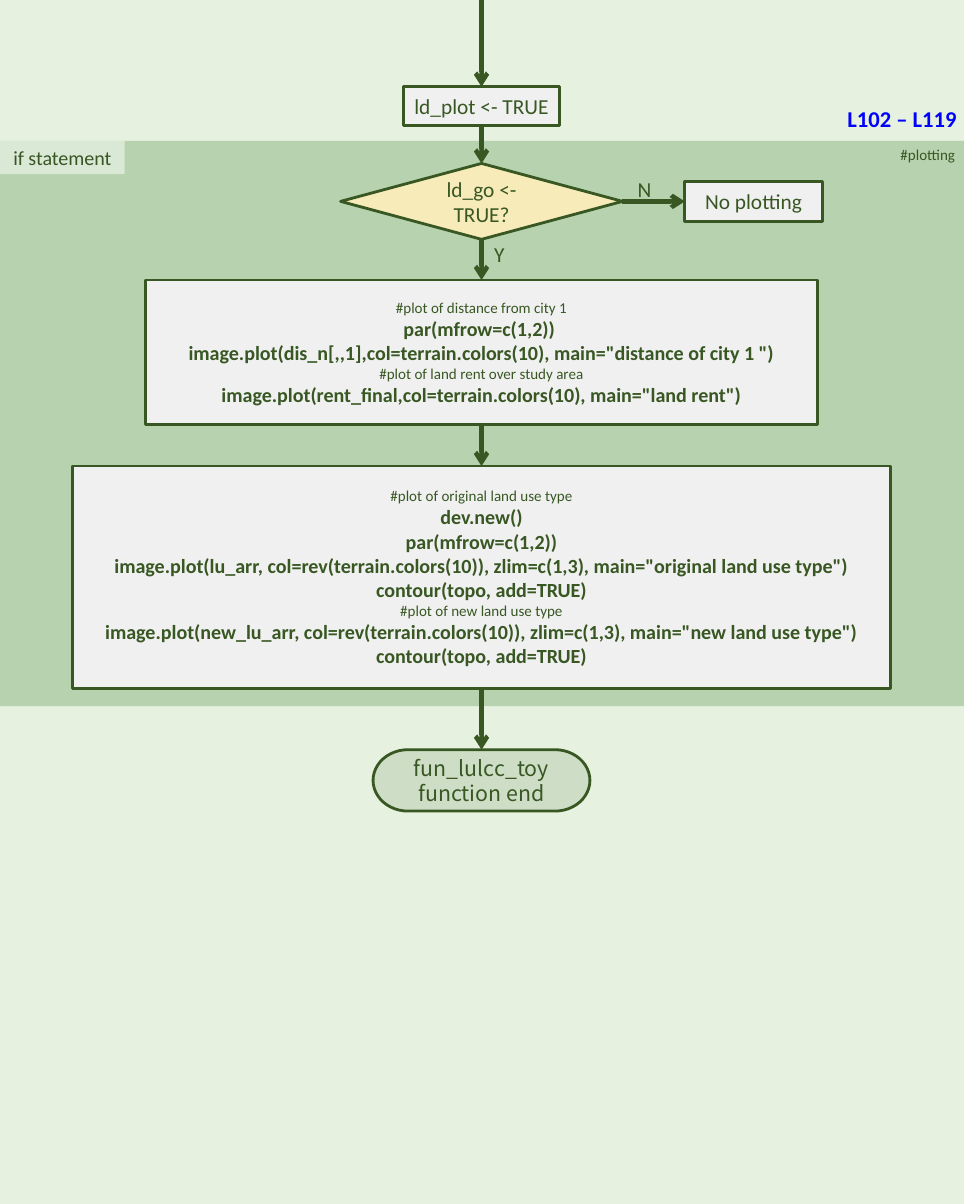
import pptx
import pptx.dml.color
import pptx.enum.dml
import pptx.enum.shapes
import pptx.enum.text
import pptx.oxml.ns
import pptx.util
import lxml.etree

EMU_PER_PX = 9144
SHAPES = pptx.enum.shapes.MSO_SHAPE
ALIGN = pptx.enum.text.PP_ALIGN
ANCHOR = pptx.enum.text.MSO_ANCHOR
TOP, LEFT, BOTTOM, RIGHT = range(4)


def px(length):
    return pptx.util.Emu(length * EMU_PER_PX)


def color(hex_string):
    return pptx.dml.color.RGBColor.from_string(hex_string)


def add_xml(parent, tag, **attributes):
    return lxml.etree.SubElement(parent, pptx.oxml.ns.qn(tag), attributes)


class Flowchart:
    ink = "385723"
    paper = "F0F0F0"
    font = "Calibri"

    def __init__(self, deck, background):
        self.slide = deck.slides.add_slide(deck.slide_layouts[5])
        self.slide.background.fill.solid()
        self.slide.background.fill.fore_color.rgb = color(background)

    def set_text(self, shape, lines, size, align, anchor, font=None, ink=None, bold=False, wrap=True):
        frame = shape.text_frame
        frame.text = "\n".join(lines)
        frame.word_wrap = wrap
        frame.vertical_anchor = anchor
        for para in frame.paragraphs:
            para.alignment = align
            for span in para.runs:
                span.font.name = font or self.font
                span.font.size = pptx.util.Pt(size)
                span.font.bold = bold
                span.font.color.rgb = color(ink or self.ink)

    def title(self, text, area, size, ink):
        title = self.slide.shapes.title
        title.left, title.top, title.width, title.height = map(px, area)
        self.set_text(title, [text], size, ALIGN.LEFT, ANCHOR.TOP, ink=ink, bold=True, wrap=False)
        title.text_frame.auto_size = pptx.enum.text.MSO_AUTO_SIZE.NONE

    def panel(self, kind, area, fill, opacity=100, outlined=False):
        shape = self.slide.shapes.add_shape(kind, *map(px, area))
        shape.shadow.inherit = False
        shape.fill.solid()
        shape.fill.fore_color.rgb = color(fill)
        if opacity < 100:
            tint = shape._element.spPr.find(".//" + pptx.oxml.ns.qn("a:srgbClr"))
            add_xml(tint, "a:alpha", val=str(opacity * 1000))
        if outlined:
            shape.line.color.rgb = color(self.ink)
            shape.line.width = pptx.util.Pt(2.25)
        else:
            shape.line.fill.background()
        return shape

    def step(self, text, area, kind=SHAPES.FLOWCHART_PROCESS, fill=None, opacity=100, font=None):
        shape = self.panel(kind, area, fill or self.paper, opacity, True)
        self.set_text(shape, [text], 17, ALIGN.CENTER, ANCHOR.MIDDLE, font)
        return shape

    def code(self, lines, area):
        shape = self.panel(SHAPES.FLOWCHART_PROCESS, area, self.paper, outlined=True)
        self.set_text(shape, lines, 16, ALIGN.CENTER, ANCHOR.MIDDLE, bold=True)
        for para in shape.text_frame.paragraphs:
            if para.text.startswith("#"):
                para.runs[0].font.size = pptx.util.Pt(12)
                para.runs[0].font.bold = False
        return shape

    def label(self, text, area, size, align=ALIGN.LEFT, wrap=True):
        box = self.slide.shapes.add_textbox(*map(px, area))
        self.set_text(box, [text], size, align, ANCHOR.TOP, wrap=wrap)

    def arrow(self, points, source=None, target=None, sides=(BOTTOM, TOP)):
        straight = pptx.enum.shapes.MSO_CONNECTOR.STRAIGHT
        line = self.slide.shapes.add_connector(straight, *map(px, points))
        if source is not None:
            line.begin_connect(source, sides[0])
        if target is not None:
            line.end_connect(target, sides[1])
        line.line.color.rgb = color(self.ink)
        line.line.width = pptx.util.Pt(3.5)
        outline = line._element.spPr.find(pptx.oxml.ns.qn("a:ln"))
        add_xml(outline, "a:tailEnd", type="arrow")
        add_xml(line._element.spPr, "a:effectLst")


def main():
    deck = pptx.Presentation()
    deck.slide_width, deck.slide_height = px(1067), px(1333)
    chart = Flowchart(deck, "E6F1DF")
    chart.title("L102 – L119", (928, 111, 142, 40), 18, "0000FF")

    chart.panel(SHAPES.RECTANGLE, (0, 156, 1067, 626), "B6D2AE")
    tag = chart.panel(SHAPES.RECTANGLE, (0, 156, 138, 37), "FFFFFF", 50)
    chart.set_text(tag, ["if statement"], 16, ALIGN.CENTER, ANCHOR.TOP)
    chart.label("#plotting", (619, 156, 448, 30), 12, ALIGN.RIGHT)

    start = chart.step("ld_plot <- TRUE", (447, 96, 172, 43))
    decision = chart.step("ld_go <- TRUE?", (377, 181, 312, 84), SHAPES.FLOWCHART_DECISION, "F8EBBA")
    skip = chart.step("No plotting", (758, 201, 152, 44))
    rent = chart.code([
        "#plot of distance from city 1",
        "par(mfrow=c(1,2)) ",
        'image.plot(dis_n[,,1],col=terrain.colors(10), main="distance of city 1 ")',
        "#plot of land rent over study area",
        'image.plot(rent_final,col=terrain.colors(10), main="land rent")',
    ], (161, 310, 744, 160))
    land_use = chart.code([
        "#plot of original land use type",
        "dev.new()",
        "par(mfrow=c(1,2))",
        'image.plot(lu_arr, col=rev(terrain.colors(10)), zlim=c(1,3), main="original land use type")',
        "contour(topo, add=TRUE)",
        "#plot of new land use type",
        'image.plot(new_lu_arr, col=rev(terrain.colors(10)), zlim=c(1,3), main="new land use type")',
        "contour(topo, add=TRUE)",
    ], (80, 516, 906, 246))
    end = chart.step("fun_lulcc_toy function end", (413, 830, 240, 68),
                     SHAPES.FLOWCHART_TERMINATOR, "B3C9A9", 46, "Noto Sans CJK SC")

    chart.arrow((533, 0, 533, 96), target=start)
    flow = [start, decision, rent, land_use, end]
    for source, target in zip(flow, flow[1:]):
        chart.arrow((533, 0, 533, 0), source, target)
    chart.arrow((689, 223, 758, 223), decision, skip, (RIGHT, LEFT))
    chart.label("N", (696, 190, 36, 39), 17, wrap=False)
    chart.label("Y", (537, 262, 32, 39), 17, wrap=False)

    deck.save("out.pptx")


if __name__ == "__main__":
    main()
